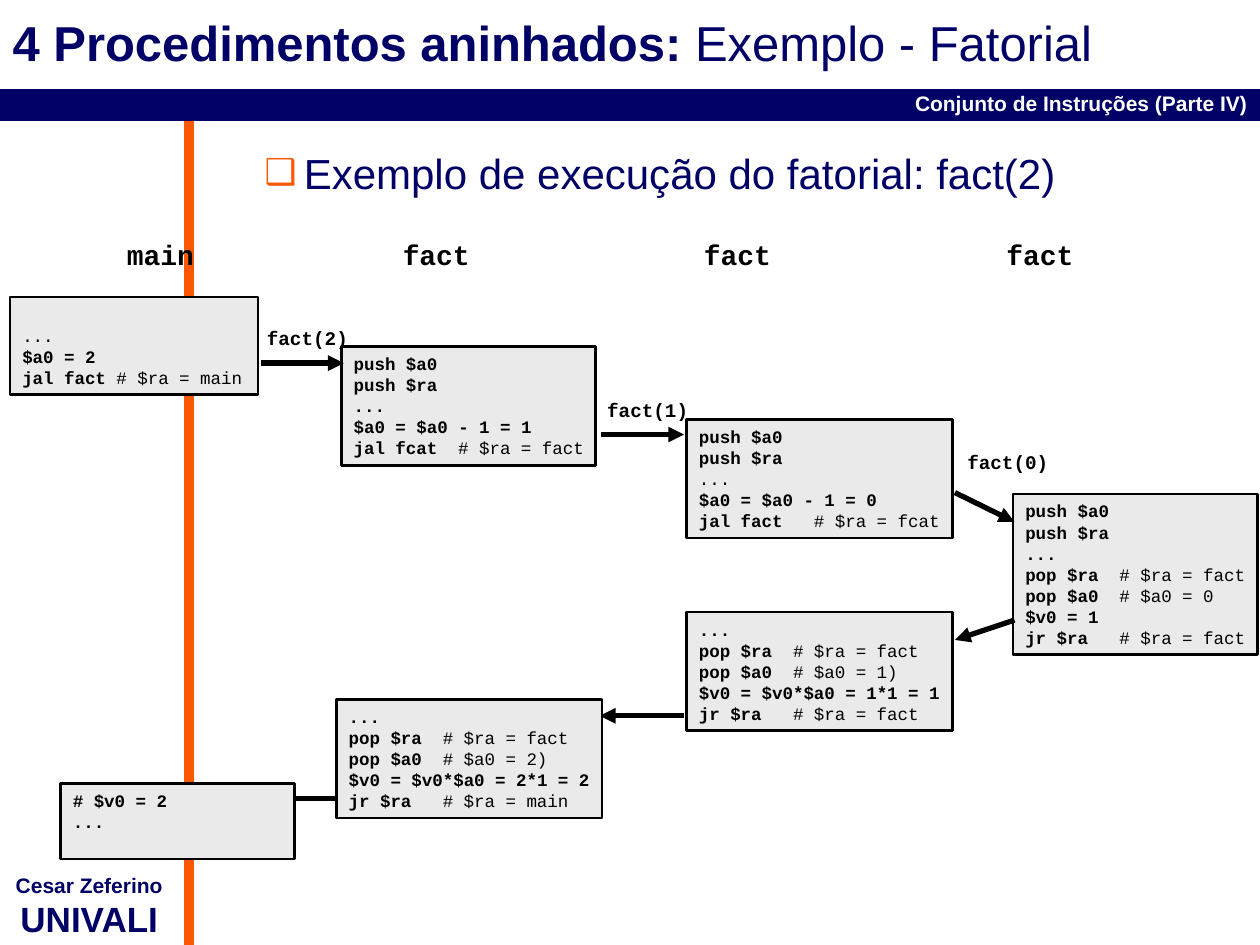
from lxml.etree import SubElement
from pptx import Presentation
from pptx.dml.color import RGBColor
from pptx.enum.shapes import MSO_CONNECTOR, MSO_SHAPE
from pptx.enum.text import MSO_ANCHOR, MSO_AUTO_SIZE, PP_ALIGN
from pptx.oxml.ns import qn
from pptx.util import Cm, Pt

NAVY, ORANGE, GRAY, BLACK, WHITE = "000066", "FB5705", "EAEAEA", "000000", "FFFFFF"
MONO = "Courier New"


def paint(text):
    return RGBColor.from_string(text)


def apply(item, form):
    for name, value in form.items():
        setattr(item, name, value)


class Deck:
    frame_form = {
        "word_wrap": True, "auto_size": MSO_AUTO_SIZE.NONE,
        "margin_left": Cm(0.25), "margin_top": Cm(0.13),
        "margin_right": 0, "margin_bottom": Cm(0.13),
    }

    def __init__(self, slide):
        self.slide = slide
        self.shapes = slide.shapes

    def place(self, shape, box):
        names = ("left", "top", "width", "height")
        apply(shape, dict(zip(names, map(Cm, box))))

    def letter(self, para, text, size, color, face="Arial", bold=True):
        run = para.add_run()
        run.text = text
        apply(run.font, {"size": Pt(size), "name": face, "bold": bold})
        run.font.color.rgb = paint(color)

    def title(self, head, tail):
        shape = self.shapes.title
        self.place(shape, (0, 0, 25.4, 1.7))
        apply(shape.text_frame, {"vertical_anchor": MSO_ANCHOR.MIDDLE,
                                 "auto_size": MSO_AUTO_SIZE.NONE})
        para = shape.text_frame.paragraphs[0]
        para.alignment = PP_ALIGN.LEFT
        self.letter(para, head, 28, NAVY)
        self.letter(para, tail, 28, NAVY, bold=False)

    def body(self, text):
        shape = self.slide.placeholders[1]
        self.place(shape, (3.81, 2.84, 21.59, 16.2))
        shape.text_frame.auto_size = MSO_AUTO_SIZE.NONE
        para = shape.text_frame.paragraphs[0]
        apply(para, {"level": 1, "space_before": Pt(0)})
        props = para._p.get_or_add_pPr()
        props.set("marL", str(Cm(2.06)))
        props.set("indent", str(Cm(-0.79)))
        SubElement(SubElement(props, qn("a:buClr")), qn("a:srgbClr")).set("val", ORANGE)
        SubElement(props, qn("a:buSzPct")).set("val", "85000")
        SubElement(props, qn("a:buFont")).set("typeface", "Arial")
        SubElement(props, qn("a:buChar")).set("char", "❑")
        self.letter(para, text, 24, NAVY, bold=False)

    def line(self, start, end, width=3, color=BLACK, arrow=True):
        link = self.shapes.add_connector(
            MSO_CONNECTOR.STRAIGHT, *map(Cm, start + end))
        link.line.width = Pt(width)
        link.line.color.rgb = paint(color)
        props = link._element.spPr
        if arrow:
            SubElement(props.find(qn("a:ln")), qn("a:tailEnd")).set("type", "triangle")
        SubElement(props, qn("a:effectLst"))

    def note(self, box, rows, color=BLACK, face=MONO, align=PP_ALIGN.LEFT, **form):
        frame = self.shapes.add_textbox(*map(Cm, box)).text_frame
        apply(frame, self.frame_form | form)
        for i, (text, size) in enumerate(rows):
            para = frame.add_paragraph() if i else frame.paragraphs[0]
            para.alignment = align
            self.letter(para, text, size, color, face)

    def code(self, box, rows, anchor=MSO_ANCHOR.TOP):
        shape = self.shapes.add_shape(MSO_SHAPE.RECTANGLE, *map(Cm, box))
        shape.shadow.inherit = False
        shape.fill.solid()
        shape.fill.fore_color.rgb = paint(GRAY)
        shape.line.color.rgb = paint(BLACK)
        shape.line.width = Pt(1.5)
        frame = shape.text_frame
        apply(frame, self.frame_form | {"vertical_anchor": anchor})
        for i, row in enumerate(rows):
            para = frame.add_paragraph() if i else frame.paragraphs[0]
            para.alignment = PP_ALIGN.LEFT
            for part, bold in zip(row.split("|"), (True, False)):
                if part:
                    self.letter(para, part, 10, BLACK, MONO, bold)


def main():
    show = Presentation()
    apply(show, {"slide_width": Cm(25.4), "slide_height": Cm(19.05)})
    deck = Deck(show.slides.add_slide(show.slide_layouts[1]))

    deck.line((3.81, 2.34), (3.81, 19.05), 6, ORANGE, False)
    deck.line((0, 2.12), (25.4, 2.12), 18, NAVY, False)
    deck.note((0, 1.7, 25.4, 0.64), [("Conjunto de Instruções (Parte IV)", 12)],
              WHITE, "Arial", PP_ALIGN.RIGHT, margin_right=Cm(0.25))
    deck.note((0, 17.45, 3.6, 1.6), [("Cesar Zeferino", 12), ("UNIVALI", 20)],
              NAVY, "Arial", PP_ALIGN.CENTER, margin_left=0)
    deck.title("4 Procedimentos aninhados: ", "Exemplo - Fatorial")
    deck.body("Exemplo de execução do fatorial: fact(2)")

    for left, text in ((2.31, "main"), (7.87, "fact"), (13.94, "fact"), (20.04, "fact")):
        deck.note((left, 4.65, 1.95, 0.94), [(text, 16)])

    deck.line((13.79, 14.43), (12.09, 14.43))
    deck.line((6.81, 16.1), (5.11, 16.1))

    push = ["push $a0", "push $ra"]
    deck.code((0.2, 5.99, 5, 1.96),
              ["|...", "$a0 = 2", "jal fact |# $ra = main"], MSO_ANCHOR.BOTTOM)
    deck.code((6.88, 6.99, 5.13, 2.39),
              push + ["...", "$a0 = $a0 - 1 = 1", "jal fcat|  # $ra = fact"])
    deck.code((13.84, 8.46, 5.36, 2.39),
              push + ["|...", "$a0 = $a0 - 1 = 0", "jal fact|   # $ra = fcat"])
    deck.code((20.42, 9.96, 4.93, 3.23),
              push + ["...", "pop $ra|  # $ra = fact", "pop $a0|  # $a0 = 0",
                      "$v0 = 1", "jr $ra|   # $ra = fact"])
    for left, top, num, back in ((13.84, 12.34, 1, "fact"), (6.78, 14.1, 2, "main")):
        deck.code((left, top, 5.36, 2.39),
                  ["...", "pop $ra|  # $ra = fact", f"pop $a0|  # $a0 = {num})",
                   f"$v0 = $v0*$a0 = {num}*1 = {num}", f"jr $ra|   # $ra = {back}"])
    deck.code((1.22, 15.8, 4.72, 1.52), ["# $v0 = 2", "..."])

    for left, top, num in ((5.13, 6.45, 2), (11.99, 7.9, 1), (19.25, 8.94, 0)):
        deck.note((left, top, 2.13, 0.74), [(f"fact({num})", 11)])
    for start, end in (((5.26, 7.32), (6.93, 7.32)),
                       ((12.12, 8.76), (13.79, 8.76)),
                       ((19.25, 9.93), (20.45, 10.52)),
                       ((20.45, 12.5), (19.25, 12.9))):
        deck.line(start, end)

    show.save("out.pptx")


if __name__ == "__main__":
    main()
